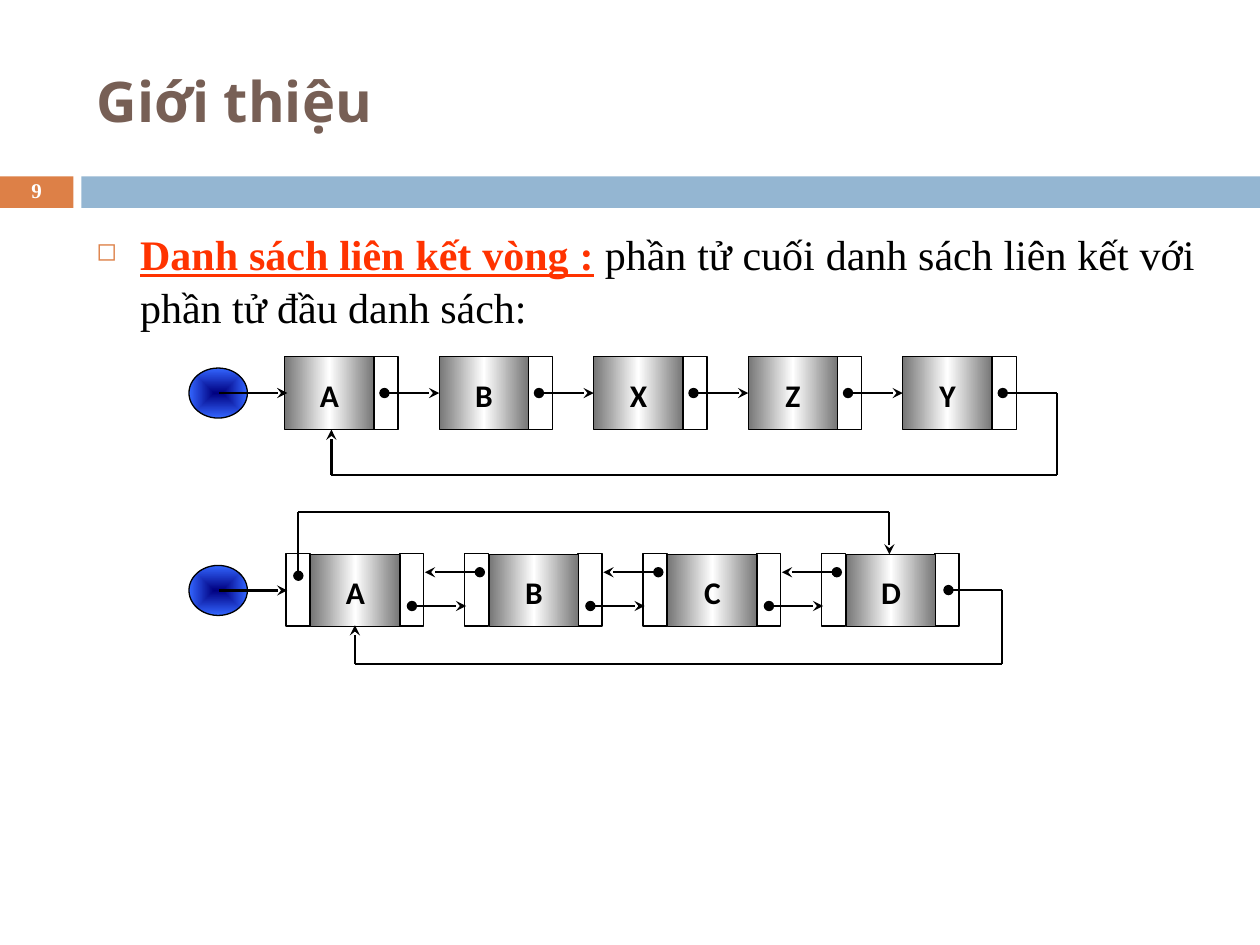
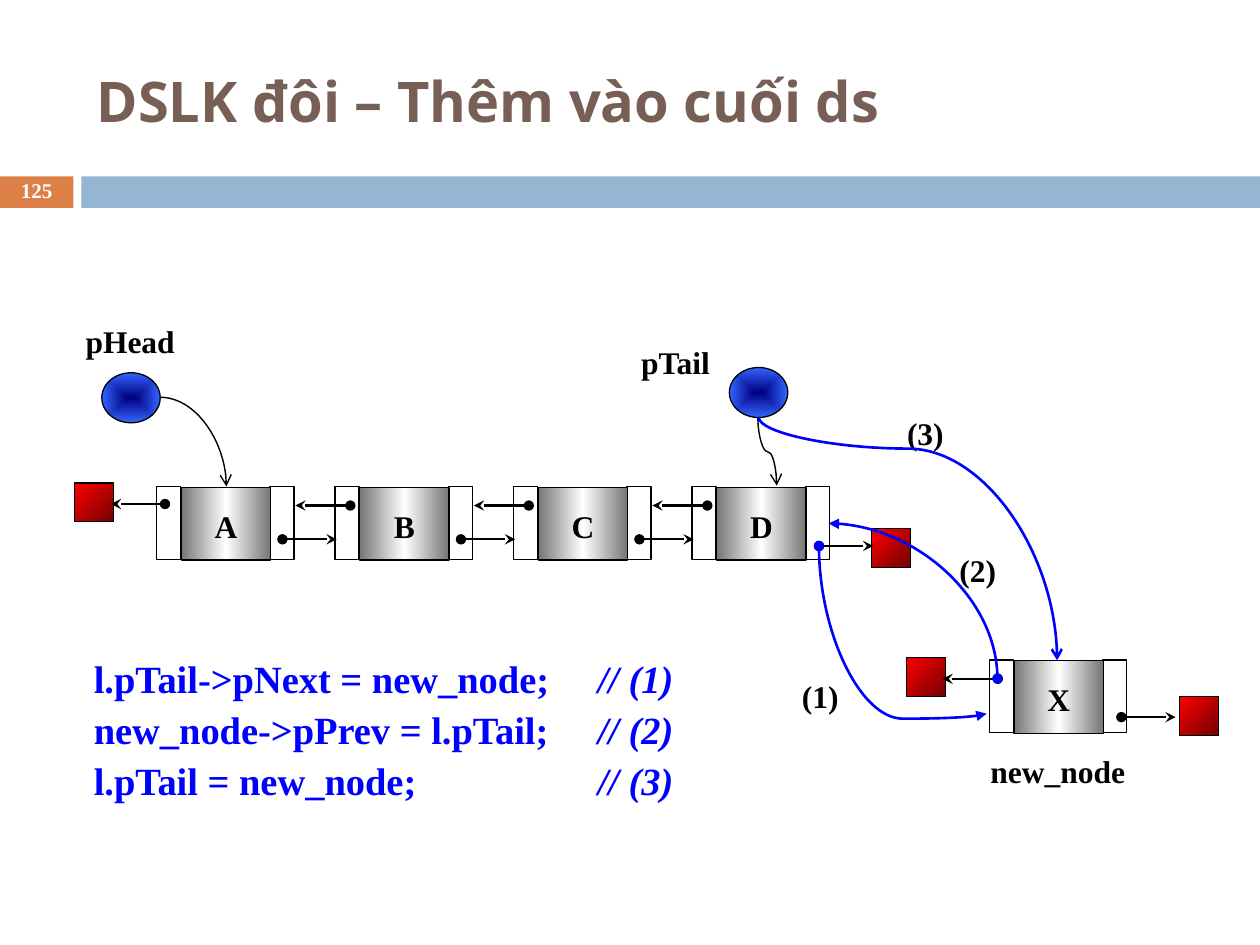
from dataclasses import dataclass
from itertools import pairwise

from pptx import Presentation
from pptx import util as u
from pptx.dml.color import RGBColor
from pptx.enum import shapes, text
from pptx.oxml import parse_xml
from pptx.oxml.ns import nsdecls, qn
from pptx.oxml.xmlchemy import OxmlElement

Pt = u.Pt
ALIGN = text.PP_ALIGN
SHAPE = shapes.MSO_SHAPE

# Shared look
ORANGE = RGBColor(0xDD, 0x80, 0x47)
BAND_BLUE = RGBColor(0x94, 0xB6, 0xD2)
BROWN = RGBColor(0x77, 0x5F, 0x55)
TERM_RED = RGBColor(0xFF, 0x33, 0x00)
CODE_BLUE = RGBColor(0x00, 0x00, 0xFF)
BLACK = RGBColor(0x00, 0x00, 0x00)
WHITE = RGBColor(0xFF, 0xFF, 0xFF)
GREY = RGBColor(0x76, 0x76, 0x76)
NAVY = RGBColor(0x00, 0x00, 0x80)
BRIGHT_BLUE = RGBColor(0x33, 0x66, 0xFF)
RED = RGBColor(0xFF, 0x00, 0x00)
DARK_RED = RGBColor(0x76, 0x00, 0x00)
SERIF, SANS, HEADING = "Times New Roman", "Calibri", "Open Sans"

# Node measures
DATA_W, CELL_W, NODE_H = 51, 13.8, 41.5
SINGLE_PITCH, DOUBLE_PITCH = 88.3, 102


@dataclass(frozen=True)
class Gradient:
    colours: tuple[RGBColor, ...]
    direction: str

    def xml(self) -> str:
        last = len(self.colours) - 1
        stops = "".join(
            f'<a:gs pos="{100000 * i // last}"><a:srgbClr val="{colour}"/></a:gs>'
            for i, colour in enumerate(self.colours))
        return (f'<a:gradFill {nsdecls("a")} rotWithShape="1"><a:gsLst>{stops}'
                f'</a:gsLst>{self.direction}</a:gradFill>')


STEEL = Gradient((GREY, WHITE, GREY), '<a:lin ang="0" scaled="1"/>')
NIL_RED = Gradient((RED, DARK_RED), '<a:lin ang="2700000" scaled="1"/>')
POINTER_BLUE = Gradient(
    (NAVY, BRIGHT_BLUE),
    '<a:path path="shape"><a:fillToRect l="50000" t="50000" r="50000" b="50000"/></a:path>')


@dataclass(frozen=True)
class Label:
    wording: str
    left: float
    top: float
    width: float
    height: float
    align: ALIGN = ALIGN.CENTER
    inset: float = 0


@dataclass(frozen=True)
class Curve:
    """A curved connector: its unrotated frame, turn, flip and bend."""
    left: float
    top: float
    width: float
    height: float
    preset: str
    turn: int = 0
    flip: str = ""
    bend: float | None = None
    colour: RGBColor = CODE_BLUE
    weight: float = 1.5
    head: str = ""
    tail: str = "triangle"


# Basic parts
def style(run, size: float, colour: RGBColor, font: str = SERIF, bold: bool = True) -> None:
    run.font.size, run.font.name, run.font.bold = Pt(size), font, bold
    run.font.color.rgb = colour


def inset(frame, left: float, top: float, right: float, bottom: float) -> None:
    frame.margin_left, frame.margin_top = Pt(left), Pt(top)
    frame.margin_right, frame.margin_bottom = Pt(right), Pt(bottom)


def block(slide, kind, left: float, top: float, width: float, height: float,
          fill: RGBColor | Gradient | None = None, outline: bool = True):
    shape = slide.shapes.add_shape(kind, Pt(left), Pt(top), Pt(width), Pt(height))
    shape.shadow.inherit = False
    if isinstance(fill, RGBColor):
        shape.fill.solid()
        shape.fill.fore_color.rgb = fill
    else:
        shape.fill.background()
        if fill:
            properties = shape._element.spPr
            properties.replace(properties.find(qn("a:noFill")), parse_xml(fill.xml()))
    if outline:
        shape.line.color.rgb, shape.line.width = BLACK, Pt(0.75)
    else:
        shape.line.fill.background()
    return shape


def text_box(slide, left: float, top: float, width: float, height: float):
    frame = slide.shapes.add_textbox(Pt(left), Pt(top), Pt(width), Pt(height)).text_frame
    frame.word_wrap = True
    return frame


def finish_line(connector, colour: RGBColor, weight: float, head: str, tail: str) -> None:
    connector.line.color.rgb, connector.line.width = colour, Pt(weight)
    ln = connector.line._get_or_add_ln()
    for tag, kind in (("a:headEnd", head), ("a:tailEnd", tail)):
        if kind:
            end = OxmlElement(tag)
            end.set("type", kind)
            ln.append(end)
    connector._element.spPr.append(OxmlElement("a:effectLst"))


def route(slide, *points: tuple[float, float], head: str = "oval", tail: str = "stealth") -> None:
    """Straight lines through the points, with ends on the first and last."""
    legs = list(pairwise(points))
    for i, ((x1, y1), (x2, y2)) in enumerate(legs):
        leg = slide.shapes.add_connector(
            shapes.MSO_CONNECTOR.STRAIGHT, Pt(x1), Pt(y1), Pt(x2), Pt(y2))
        finish_line(leg, BLACK, 1.25, head if i == 0 else "",
                    tail if i == len(legs) - 1 else "")


def draw_curve(slide, c: Curve) -> None:
    connector = slide.shapes.add_connector(
        shapes.MSO_CONNECTOR.CURVE, Pt(c.left), Pt(c.top),
        Pt(c.left + c.width), Pt(c.top + c.height))
    properties = connector._element.spPr
    frame, geometry = properties.find(qn("a:xfrm")), properties.find(qn("a:prstGeom"))
    if c.turn:
        frame.set("rot", str(c.turn * 60000))
    if c.flip:
        frame.set("flip" + c.flip, "1")
    geometry.set("prst", c.preset)
    if c.bend is not None:
        guides = geometry.find(qn("a:avLst"))
        if guides is None:
            guides = OxmlElement("a:avLst")
            geometry.append(guides)
        guide = OxmlElement("a:gd")
        guide.set("name", "adj1")
        guide.set("fmla", f"val {round(c.bend * 100000)}")
        guides.append(guide)
    finish_line(connector, c.colour, c.weight, c.head, c.tail)


def draw_label(slide, label: Label) -> None:
    frame = text_box(slide, label.left, label.top, label.width, label.height)
    inset(frame, *[label.inset] * 4)
    frame.vertical_anchor = text.MSO_ANCHOR.MIDDLE
    frame.text = label.wording
    frame.paragraphs[0].alignment = label.align
    style(frame.paragraphs[0].runs[0], 18, BLACK)


# List parts
def pointer(slide, left: float, top: float) -> None:
    block(slide, SHAPE.OVAL, left, top, 33.4, 28.6, POINTER_BLUE)


def nil(slide, left: float, top: float) -> None:
    block(slide, SHAPE.RECTANGLE, left, top, 22.2, 22.2, NIL_RED)


def data_cell(slide, left: float, top: float, name: str, font: str) -> None:
    frame = block(slide, SHAPE.RECTANGLE, left, top, DATA_W, NODE_H, STEEL).text_frame
    inset(frame, 0, 2, 0, 0)
    frame.vertical_anchor = text.MSO_ANCHOR.MIDDLE
    frame.text = name
    frame.paragraphs[0].alignment = ALIGN.CENTER
    style(frame.paragraphs[0].runs[0], 18, BLACK, font)


def double_node(slide, left: float, top: float, name: str, font: str) -> None:
    for cell_left in (left, left + 64.8):
        block(slide, SHAPE.RECTANGLE, cell_left, top, CELL_W, NODE_H)
    data_cell(slide, left + 14.2, top + 0.4, name, font)


def single_list(slide, left: float, top: float, names: str) -> None:
    lefts = [left + SINGLE_PITCH * i for i in range(len(names))]
    for x, name in zip(lefts, names):
        block(slide, SHAPE.RECTANGLE, x + DATA_W, top, CELL_W, NODE_H, WHITE)
        data_cell(slide, x, top, name, SANS)
    for x in lefts[:-1]:
        route(slide, (x + 57, top + 20.8), (x + SINGLE_PITCH, top + 20.8))


def double_list(slide, left: float, top: float, names: str, font: str) -> None:
    lefts = [left + DOUBLE_PITCH * i for i in range(len(names))]
    for x, name in zip(lefts, names):
        double_node(slide, x, top, name, font)
    for x, following in pairwise(lefts):
        route(slide, (x + 72, top + 30), (x + 103, top + 30))
        route(slide, (following + 8.8, top + 10.7), (following - 22.6, top + 10.7))


def new_slide(deck, heading: str, number: str):
    slide = deck.slides.add_slide(deck.slide_layouts[5])
    block(slide, SHAPE.RECTANGLE, 0, 100.8, 42, 18, ORANGE, outline=False)
    block(slide, SHAPE.RECTANGLE, 46.5, 100.8, 673.5, 18, BAND_BLUE, outline=False)
    title = slide.shapes.title
    title.left, title.top, title.width, title.height = Pt(48), Pt(18), Pt(642), Pt(78)
    title.text_frame.text = heading
    title.text_frame.vertical_anchor = text.MSO_ANCHOR.MIDDLE
    title.text_frame.paragraphs[0].alignment = ALIGN.LEFT
    style(title.text_frame.paragraphs[0].runs[0], 32, BROWN, HEADING)

    frame = text_box(slide, 0, 100, 42, 19.5)
    frame.vertical_anchor = text.MSO_ANCHOR.MIDDLE
    frame.text = number
    paragraph = frame.paragraphs[0]
    paragraph.alignment, paragraph.line_spacing = ALIGN.CENTER, 0.8
    style(paragraph.runs[0], 12, WHITE)
    return slide


# Slide: circular lists
def circular_slide(deck) -> None:
    slide = new_slide(deck, "Giới thiệu", "9")
    definition = text_box(slide, 48, 126, 642, 354).paragraphs[0]
    definition.text = "Danh sách liên kết vòng :"
    definition.alignment = ALIGN.JUSTIFY
    definition.line_spacing, definition.space_before = Pt(30), Pt(6)
    term = definition.runs[0]
    style(term, 24, TERM_RED)
    term.font.underline = True
    meaning = definition.add_run()
    meaning.text = " phần tử cuối danh sách liên kết với phần tử đầu danh sách:"
    style(meaning, 24, BLACK, bold=False)
    properties = definition._p.get_or_add_pPr()
    properties.set("marL", str(Pt(25)))
    properties.set("indent", str(-Pt(25)))
    for bullet in (f'<a:buClr {nsdecls("a")}><a:srgbClr val="{ORANGE}"/></a:buClr>',
                   f'<a:buSzPct {nsdecls("a")} val="60000"/>',
                   f'<a:buChar {nsdecls("a")} char="◻"/>'):
        properties.append(parse_xml(bullet))

    # Singly linked ring
    pointer(slide, 108, 210.3)
    single_list(slide, 162.7, 203.8, "ABXZY")
    route(slide, (125.3, 224.6), (164.2, 224.6), head="")
    route(slide, (573, 224.6), (604, 224.6), (604, 271.4), (189.4, 271.4), (189.4, 245.5))

    # Doubly linked ring
    pointer(slide, 108, 323.1)
    double_list(slide, 163.4, 316.3, "ABCD", SANS)
    route(slide, (125.3, 337.4), (164.2, 337.4), head="")
    route(slide, (542, 337.2), (572.5, 337.2), (572.5, 379.5), (202.8, 379.5), (202.8, 357.3))
    route(slide, (170.5, 329), (170.5, 292.5), (508.2, 292.5), (508.2, 316.8))


# Slide: appending to a doubly linked list
def append_slide(deck) -> None:
    slide = new_slide(deck, "DSLK đôi – Thêm vào cuối ds", "125")
    double_node(slide, 565.3, 377.2, "X", SERIF)
    double_list(slide, 89.4, 278.2, "ABCD", SERIF)
    for left, top in ((58.2, 213), (416.8, 210)):
        pointer(slide, left, top)
    for left, top in ((42.5, 276), (498, 302), (518, 375.8), (674, 398)):
        nil(slide, left, top)
    for start, end, y in ((94.3, 63.4, 288), (468, 499, 312),
                          (570.2, 538.6, 387.9), (640.8, 671.8, 409.8)):
        route(slide, (start, y), (end, y))

    for label in (Label("pHead", 42, 180, 64.8, 30), Label("pTail", 354, 192, 64, 30),
                  Label("(1)", 450, 384, 37.5, 27), Label("(2)", 540, 312, 37.5, 27),
                  Label("(3)", 510, 234, 37.5, 27),
                  Label("new_node", 558, 426, 92, 29, ALIGN.RIGHT, 7.2)):
        draw_label(slide, label)

    for curve in (
            Curve(91.4, 227, 38, 51, "curvedConnector2",
                  colour=BLACK, weight=0.79, tail="arrow"),
            Curve(419, 252.7, 38.9, 10.8, "curvedConnector3", 270, "H", 0.5,
                  BLACK, 0.79, tail="arrow"),
            Curve(477.4, 295.2, 88.6, 96.5, "curvedConnector2", 270, "V", head="oval"),
            Curve(468, 312, 95.8, 95.8, "curvedConnector3", 270, "H", 1.03, head="oval"),
            Curve(449.3, 222.5, 139, 170.6, "curvedConnector3", 270, "H", 0.13, tail="arrow")):
        draw_curve(slide, curve)

    # Code with its step comments
    code = text_box(slide, 42, 371, 360, 91.5)
    steps = ("l.pTail->pNext = new_node;\t", "new_node->pPrev = l.pTail;\t",
             "l.pTail = new_node;\t\t")
    code.text = "\n".join(steps)
    for i, paragraph in enumerate(code.paragraphs, 1):
        comment = paragraph.add_run()
        comment.text = f"// ({i})"
        for run in paragraph.runs:
            style(run, 22, CODE_BLUE)
        comment.font.italic = True
        paragraph.space_before = Pt(2.75)
        properties = paragraph._p.get_or_add_pPr()
        properties.set("marL", str(Pt(4.5)))
        stops = "".join(f'<a:tab pos="{Pt(stop)}" algn="l"/>' for stop in (216, 288))
        properties.append(parse_xml(f'<a:tabLst {nsdecls("a")}>{stops}</a:tabLst>'))


presentation = Presentation()
presentation.slide_width, presentation.slide_height = Pt(720), Pt(540)
circular_slide(presentation)
append_slide(presentation)
presentation.save("out.pptx")
